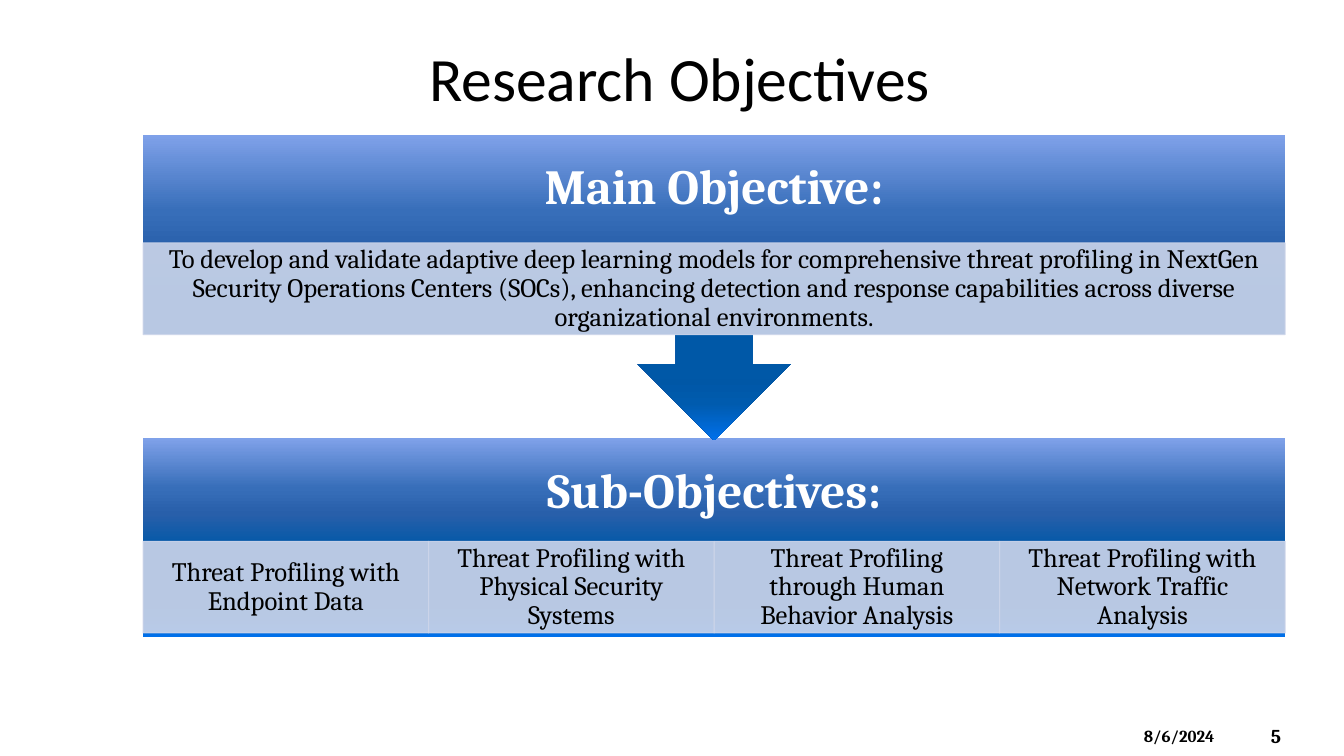
from lxml.etree import SubElement
from pptx import Presentation
from pptx.dml.color import RGBColor
from pptx.enum.shapes import MSO_SHAPE
from pptx.enum.text import MSO_ANCHOR, PP_ALIGN
from pptx.oxml.ns import qn
from pptx.util import Inches, Pt

BLACK = RGBColor(0x00, 0x00, 0x00)
WHITE = RGBColor(0xFF, 0xFF, 0xFF)
PALE_BLUE = RGBColor(0xCC, 0xD5, 0xEA)
BLUE_STOPS = [
    (0, RGBColor(0x7F, 0xA1, 0xE9)),
    (25, RGBColor(0x37, 0x6E, 0xB9)),
    (38, RGBColor(0x28, 0x5F, 0xAA)),
    (55, RGBColor(0x00, 0x58, 0xA7)),
    (80, RGBColor(0x00, 0x57, 0xA6)),
    (88, RGBColor(0x00, 0x5B, 0xAE)),
    (100, RGBColor(0x00, 0x70, 0xEB)),
]

LEFT = 1.42
COLUMN = 11.33 / 4
WIDTH = 4 * COLUMN
HEADING_HEIGHT = 1.07
PANE_HEIGHT = 0.91

MAIN_TEXT = (
    "To develop and validate adaptive deep learning models for comprehensive "
    "threat profiling in NextGen Security Operations Centers (SOCs), enhancing "
    "detection and response capabilities across diverse organizational environments."
)
SUB_TEXTS = [
    "Threat Profiling with Endpoint Data",
    "Threat Profiling with Physical Security Systems",
    "Threat Profiling through Human Behavior Analysis",
    "Threat Profiling with Network Traffic Analysis",
]

deck = Presentation()
deck.slide_width = Inches(13.333)
deck.slide_height = Inches(7.5)
page = deck.slides.add_slide(deck.slide_layouts[6])


def write(box, text, size, color=BLACK, bold=False, font="Cambria",
          align=PP_ALIGN.CENTER, spacing=0.9, insets=(0.1, 0.05)):
    frame = box.text_frame
    frame.word_wrap = True
    frame.vertical_anchor = MSO_ANCHOR.MIDDLE
    frame.margin_left = frame.margin_right = Inches(insets[0])
    frame.margin_top = frame.margin_bottom = Inches(insets[1])
    para = frame.paragraphs[0]
    para.alignment = align
    para.line_spacing = spacing
    span = para.add_run()
    span.text = text
    span.font.name = font
    span.font.size = Pt(size)
    span.font.bold = bold
    span.font.color.rgb = color


def add_block(kind, top, height, heading, pane_top, pane_texts):
    block = page.shapes.add_shape(
        kind, Inches(LEFT), Inches(top), Inches(WIDTH), Inches(height))
    block.shadow.inherit = False
    block.line.fill.background()
    block.fill.gradient()
    gradient = block.fill._fill._gradFill
    stops = gradient.find(qn("a:gsLst"))
    for stop in list(stops):
        stops.remove(stop)
    for percent, color in BLUE_STOPS:
        stop = SubElement(stops, qn("a:gs"), pos=str(percent * 1000))
        SubElement(stop, qn("a:srgbClr"), val=str(color))
    direction = gradient.find(qn("a:lin"))
    direction.set("ang", "5400000")
    direction.set("scaled", "0")

    heading_box = page.shapes.add_textbox(
        Inches(LEFT), Inches(top), Inches(WIDTH), Inches(HEADING_HEIGHT))
    write(heading_box, heading, 35, WHITE, True, insets=(0.27, 0.27))

    pane_width = WIDTH / len(pane_texts)
    for index, text in enumerate(pane_texts):
        pane = page.shapes.add_shape(
            MSO_SHAPE.RECTANGLE, Inches(LEFT + index * pane_width),
            Inches(pane_top), Inches(pane_width), Inches(PANE_HEIGHT))
        pane.shadow.inherit = False
        pane.fill.solid()
        pane.fill.fore_color.rgb = PALE_BLUE
        pane.line.color.rgb = PALE_BLUE
        pane.line.width = Pt(0.75)
        for color in pane._element.spPr.iter(qn("a:srgbClr")):
            SubElement(color, qn("a:alpha"), val="90000")
        write(pane, text, 19, insets=(0.15, 0.03))
    return block


title_box = page.shapes.add_textbox(
    Inches(1.08), Inches(0.17), Inches(WIDTH), Inches(1.19))
write(title_box, "Research Objectives", 44, font="Calibri", spacing=1.0)

add_block(MSO_SHAPE.RECTANGLE, 4.35, 1.97, "Sub-Objectives:", 5.37, SUB_TEXTS)
callout = add_block(MSO_SHAPE.DOWN_ARROW_CALLOUT, 1.34, 3.03,
                    "Main Objective:", 2.41, [MAIN_TEXT])
for index, share in enumerate([0.25, 0.25, 0.25, 0.65]):
    callout.adjustments[index] = share

for text, size, left, top, width, height in [
    ("8/6/2024", 12, 11.25, 7.15, 1.17, 0.3),
    ("5", 14, 12.51, 7.1, 0.74, 0.4),
]:
    footer_box = page.shapes.add_textbox(
        Inches(left), Inches(top), Inches(width), Inches(height))
    write(footer_box, text, size, bold=True, align=PP_ALIGN.LEFT, spacing=1.0)

deck.save("out.pptx")
